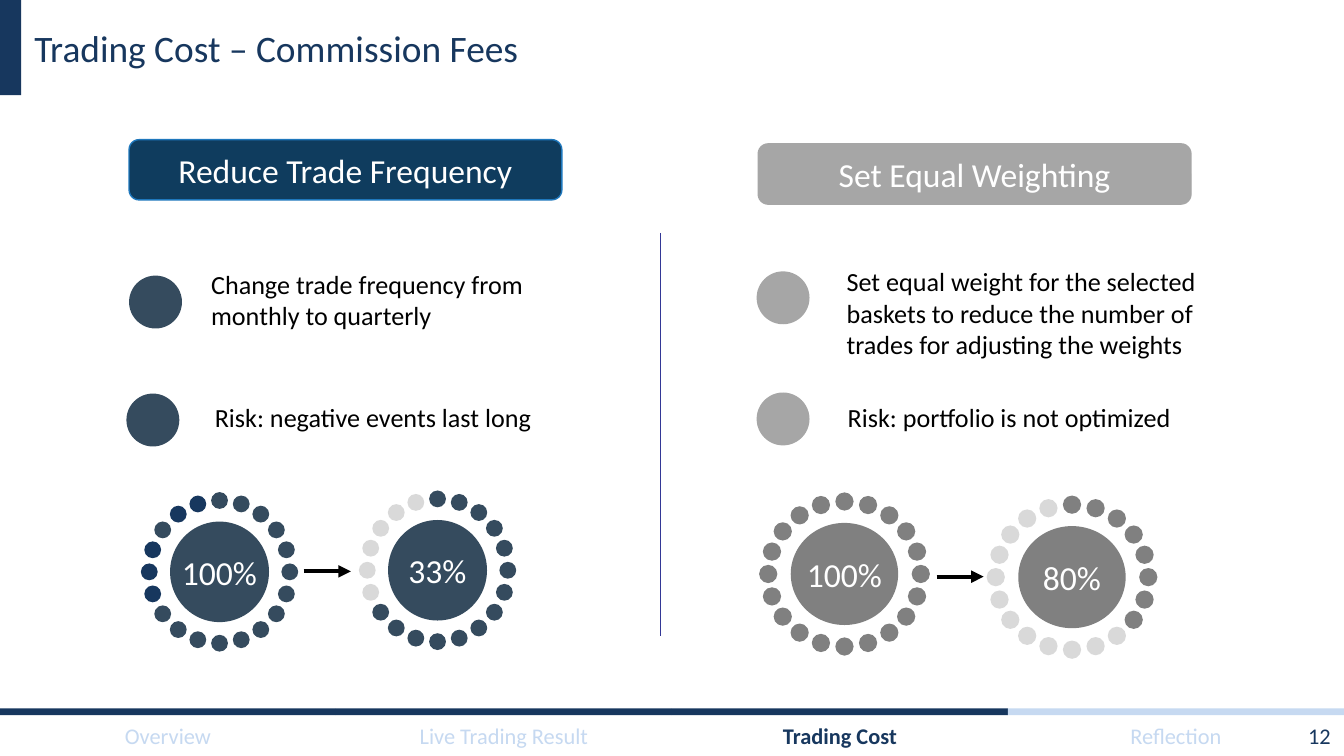
import math
from dataclasses import dataclass

import pptx
import pptx.dml.color
import pptx.enum.shapes
import pptx.enum.text
import pptx.oxml
import pptx.oxml.ns
import pptx.util

Cm = pptx.util.Cm
Pt = pptx.util.Pt
KIND = pptx.enum.shapes.MSO_SHAPE
ALIGN = pptx.enum.text.PP_ALIGN
ANCHOR = pptx.enum.text.MSO_ANCHOR


@dataclass(frozen=True)
class Theme:
    font: str = "Calibri"
    navy: str = "17375E"
    sky: str = "C6D9F1"
    deep: str = "0F3C5E"
    edge: str = "1E77BC"
    slate: str = "354B5E"
    silver: str = "A6A6A6"
    grey: str = "808080"
    pale: str = "D9D9D9"
    rule: str = "333896"
    black: str = "000000"
    white: str = "FFFFFF"
    title: int = 20
    head: int = 18
    body: int = 14
    small: int = 12


T = Theme()


def rgb(code):
    return pptx.dml.color.RGBColor.from_string(code)


def write(shape, text, size=T.body, color=T.black, bold=False,
          align=ALIGN.LEFT, anchor=ANCHOR.TOP, wrap=True, inset=None):
    frame = shape.text_frame
    frame.word_wrap = wrap
    frame.vertical_anchor = anchor
    if inset is not None:
        frame.margin_left = frame.margin_right = Cm(inset)
    para = frame.paragraphs[0]
    para.alignment = align
    run = para.add_run()
    run.text = text
    run.font.name = T.font
    run.font.size = Pt(size)
    run.font.bold = bold
    run.font.color.rgb = rgb(color)


def label(slide, box, text, **form):
    write(slide.shapes.add_textbox(*map(Cm, box)), text, **form)


def block(shapes, kind, box, fill, line=None):
    shape = shapes.add_shape(kind, *map(Cm, box))
    shape.shadow.inherit = False
    shape.fill.solid()
    shape.fill.fore_color.rgb = rgb(fill)
    if line:
        shape.line.color.rgb = rgb(line)
        shape.line.width = Pt(0.75)
    else:
        shape.line.fill.background()
    return shape


def disc(shapes, mid, size, fill):
    """Draw an ellipse of the given width and height around its centre."""
    (x, y), (w, h) = mid, size
    return block(shapes, KIND.OVAL, (x - w / 2, y - h / 2, w, h), fill)


def stroke(slide, start, end, color, width, arrow=False):
    kind = pptx.enum.shapes.MSO_CONNECTOR.STRAIGHT
    line = slide.shapes.add_connector(kind, *map(Cm, (*start, *end)))
    line.line.color.rgb = rgb(color)
    line.line.width = Pt(width)
    props = line._element.spPr
    if arrow:
        tail = pptx.oxml.parse_xml(
            f'<a:tailEnd {pptx.oxml.ns.nsdecls("a")} type="triangle"/>')
        line.line._get_or_add_ln().append(tail)
    props.append(pptx.oxml.parse_xml(
        f'<a:effectLst {pptx.oxml.ns.nsdecls("a")}/>'))


def ring(slide, mid, hub, color, text, marked=(), tint=T.pale):
    """Draw a hub in a ring of 20 dots, counted clockwise from the top."""
    count = 20
    group = slide.shapes.add_group_shape().shapes
    core = disc(group, mid, hub, color)
    write(core, text, size=T.head, color=T.white, align=ALIGN.CENTER,
          anchor=ANCHOR.MIDDLE, wrap=False, inset=0)
    dot = hub[0] * 0.17
    for k in range(count):
        turn = 2 * math.pi * k / count
        spot = (mid[0] + hub[0] * 0.71 * math.sin(turn),
                mid[1] - hub[1] * 0.71 * math.cos(turn))
        disc(group, spot, (dot, dot), tint if k in marked else color)


def panel(slide, box, head, fill, edge, badge, points, hub, rings, arrow):
    """Draw one option: heading, bullet points, and rings before and after."""
    x, y, w, h = box
    bar = block(slide.shapes, KIND.ROUNDED_RECTANGLE, (x, y, w, h), fill, edge)
    write(bar, head, size=T.head, color=T.white, align=ALIGN.CENTER,
          anchor=ANCHOR.MIDDLE)
    for (dx, dy), (tx, ty, tw, th), text in points:
        block(slide.shapes, KIND.OVAL, (x + dx, y + dy, 1, 1), badge)
        label(slide, (x + tx, y + ty, tw, th), text)
    for (dx, dy), form in rings:
        ring(slide, (x + dx, y + dy), hub, **form)
    ax, ay = x + arrow[0], y + arrow[1]
    stroke(slide, (ax, ay), (ax + 0.89, ay), T.black, 2.25, arrow=True)


def header(slide, box, text):
    x, y, w, h = box
    block(slide.shapes, KIND.RECTANGLE, (x, y, 0.4, h), T.navy)
    label(slide, (x + 0.4, y, w - 0.4, h), text, size=T.title, color=T.navy,
          anchor=ANCHOR.MIDDLE)


def footer(slide, box, names, now, page):
    """Draw the progress bar, with the sections up to the present one dark."""
    x, y, w, h = box
    step = w / len(names)
    for k, name in enumerate(names):
        left = x + k * step
        block(slide.shapes, KIND.RECTANGLE, (left, y, step, 0.13),
              T.navy if k <= now else T.sky)
        label(slide, (left, y + 0.13, step, h - 0.13), name, size=T.small,
              color=T.navy if k == now else T.sky, bold=k == now,
              align=ALIGN.CENTER)
    label(slide, (x + w - 5.92, y + 0.13, 5.92, h - 0.13), page, size=T.small,
          color=T.navy, align=ALIGN.RIGHT, anchor=ANCHOR.MIDDLE)


def main():
    deck = pptx.Presentation()
    deck.slide_width, deck.slide_height = Cm(25.4), Cm(14.29)
    slide = deck.slides.add_slide(deck.slide_layouts[6])
    header(slide, (0, 0, 23.4, 1.8), "Trading Cost – Commission Fees")
    footer(slide, (0, 13.39, 25.4, 0.9),
           ("Overview", "Live Trading Result", "Trading Cost", "Reflection"),
           now=2, page="12")
    stroke(slide, (12.48, 4.4), (12.48, 12.02), T.rule, 0.75)
    panel(
        slide, (2.44, 2.64, 8.18, 1.14), "Reduce Trade Frequency",
        fill=T.deep, edge=T.edge, badge=T.slate,
        points=(
            ((0, 2.57), (1.3, 2.31, 6.45, 1.45),
             "Change trade frequency from monthly to quarterly"),
            ((-0.05, 4.8), (1.37, 4.83, 6.71, 0.86),
             "Risk: negative events last long")),
        hub=(1.87, 1.9),
        rings=(
            ((1.71, 8.17), dict(color=T.slate, text="100%", tint=T.navy,
                                marked=(14, 15, 16, 18, 19))),
            ((5.83, 8.14), dict(color=T.slate, text="33%",
                                marked=range(14, 20)))),
        arrow=(3.3, 8.16))
    panel(
        slide, (14.33, 2.72, 8.18, 1.14), "Set Equal Weighting",
        fill=T.silver, edge=T.silver, badge=T.silver,
        points=(
            ((-0.03, 2.41), (1.42, 2.18, 8.13, 2.06),
             "Set equal weight for the selected baskets to reduce the number "
             "of trades for adjusting the weights"),
            ((-0.03, 4.7), (1.44, 4.75, 6.71, 0.86),
             "Risk: portfolio is not optimized")),
        hub=(2.03, 1.93),
        rings=(
            ((1.63, 8.13), dict(color=T.grey, text="100%")),
            ((5.93, 8.19), dict(color=T.grey, text="80%",
                                marked=range(8, 20)))),
        arrow=(3.37, 8.18))
    deck.save("out.pptx")


if __name__ == "__main__":
    main()
